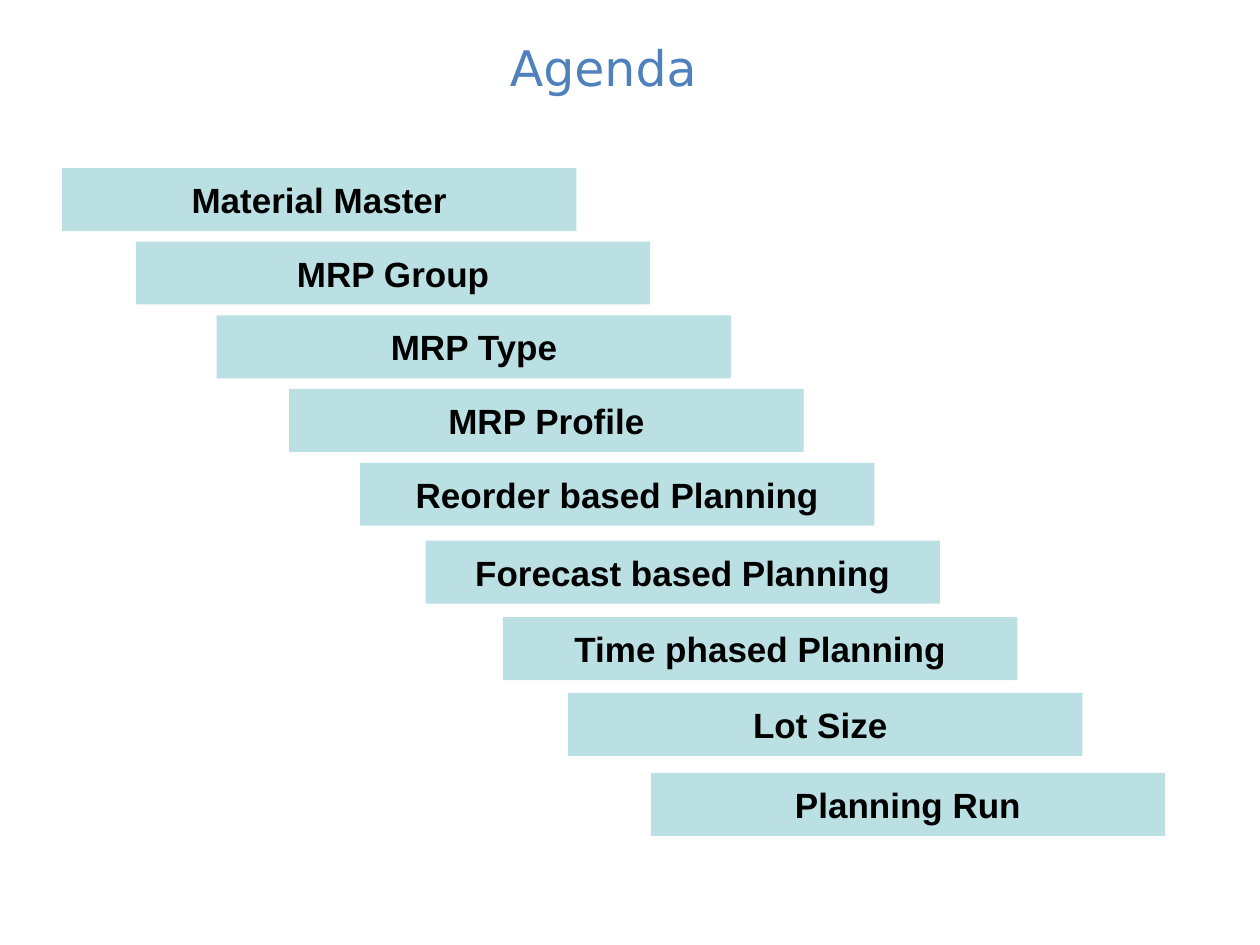
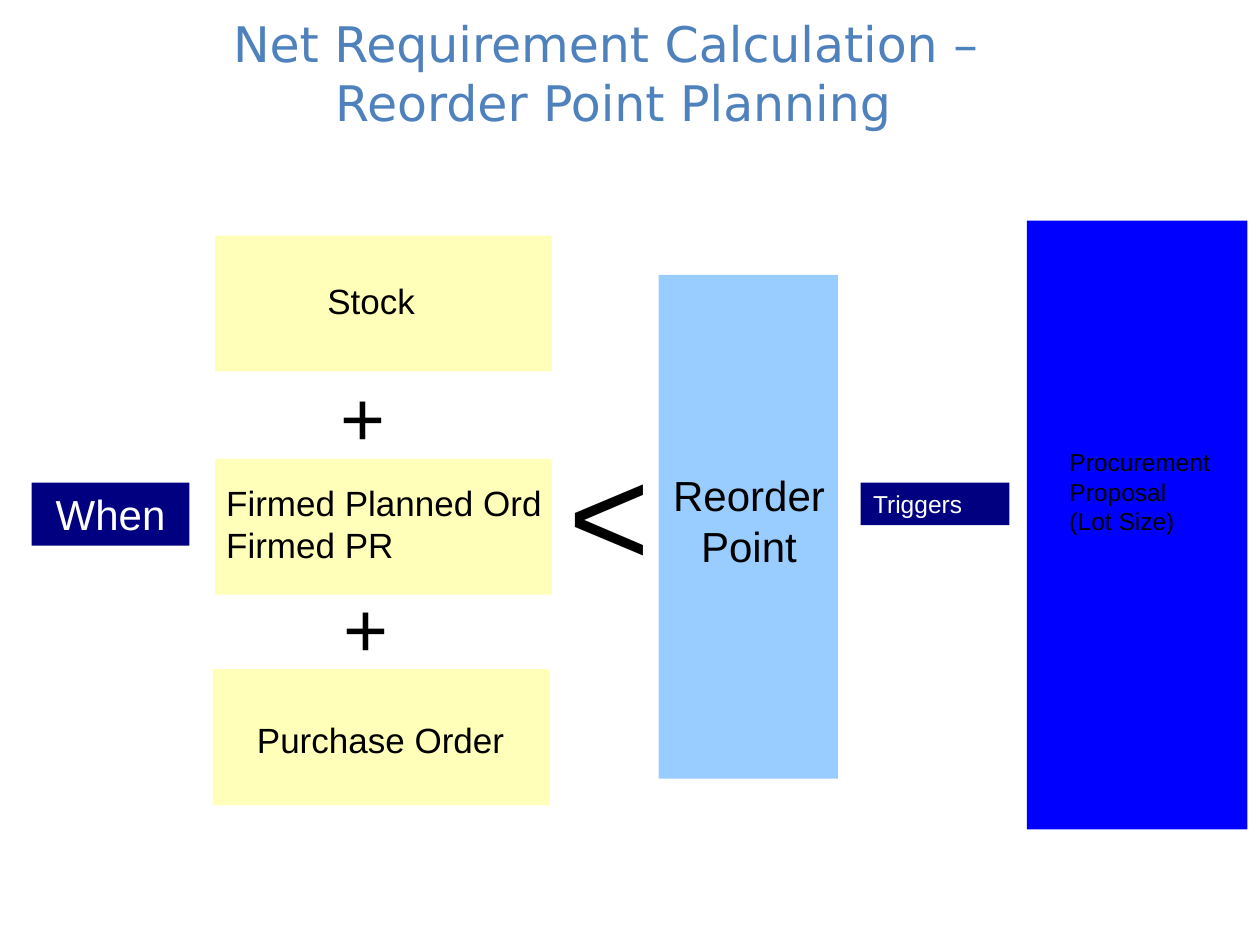
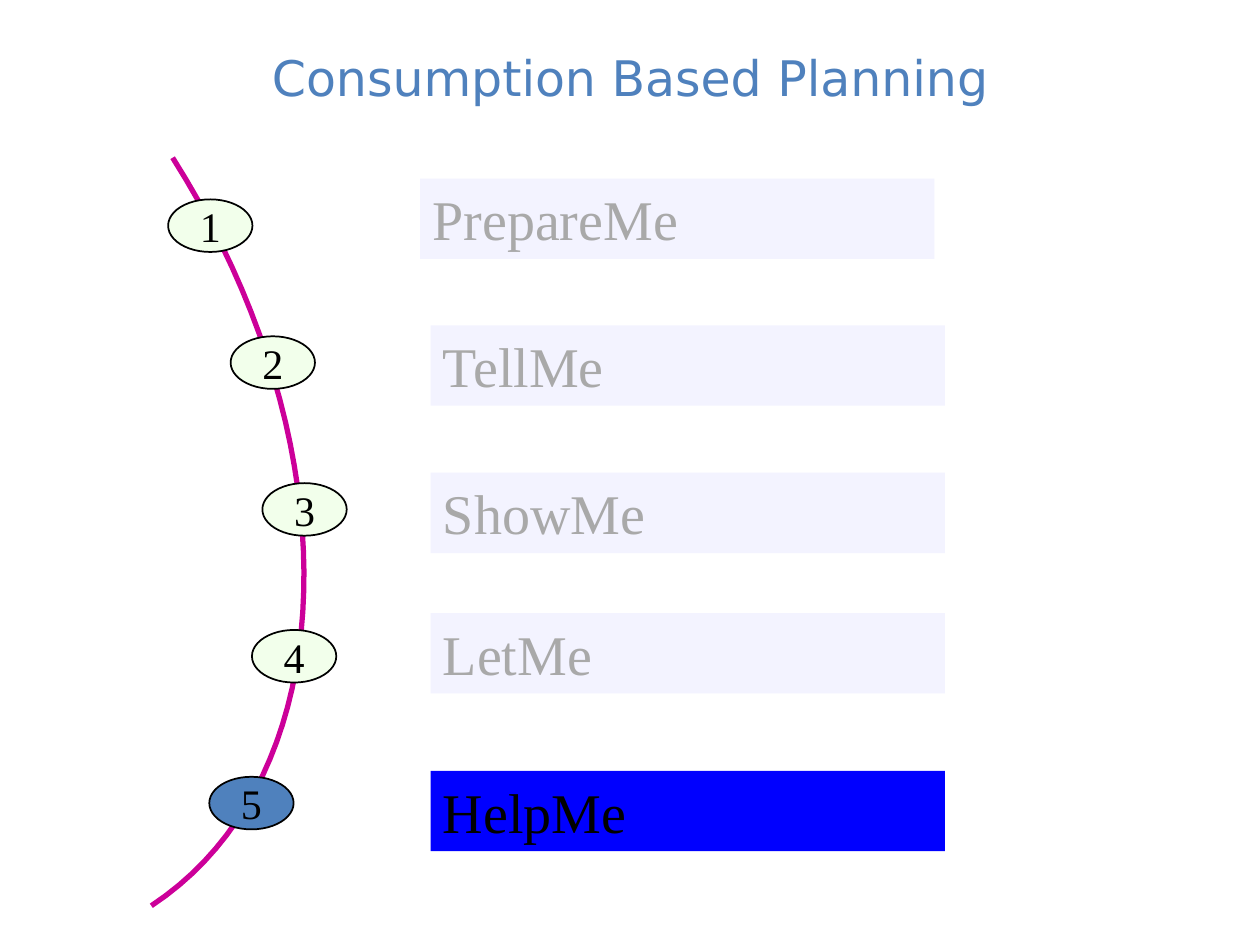
"""Build three slides on consumption based planning."""
import pptx
import pptx.util
import pptx.dml.color
import pptx.enum.shapes
import pptx.enum.text

Cm = pptx.util.Cm
Pt = pptx.util.Pt
RGBColor = pptx.dml.color.RGBColor
SHAPE = pptx.enum.shapes.MSO_SHAPE
ALIGN = pptx.enum.text.PP_ALIGN
ANCHOR = pptx.enum.text.MSO_ANCHOR

BLACK = RGBColor(0x00, 0x00, 0x00)
WHITE = RGBColor(0xFF, 0xFF, 0xFF)
TITLE_BLUE = RGBColor(0x4F, 0x81, 0xBD)
TEAL = RGBColor(0xBB, 0xE0, 0xE3)
YELLOW = RGBColor(0xFF, 0xFF, 0xB9)
SKY = RGBColor(0x99, 0xCC, 0xFF)
BLUE = RGBColor(0x00, 0x00, 0xFF)
NAVY = RGBColor(0x00, 0x00, 0x80)
MAGENTA = RGBColor(0xCC, 0x00, 0x99)
MINT = RGBColor(0xF2, 0xFF, 0xEB)
LAVENDER = RGBColor(0xF3, 0xF3, 0xFF)
GREY = RGBColor(0xA9, 0xA9, 0xA9)

TITLE = dict(size=28, font="DejaVu Sans", color=TITLE_BLUE, center=True, middle=True, wrap=True)


def add_text(s, text, x, y, w, h, size=20, font="Arial", color=BLACK, bold=False,
             center=False, middle=False, wrap=False, fill=None, line=None, shape=SHAPE.RECTANGLE):
    """Add a text box, or a filled shape when a fill is given."""
    at = Cm(x), Cm(y), Cm(w), Cm(h)
    if fill is None:
        sp = s.shapes.add_textbox(*at)
    else:
        sp = s.shapes.add_shape(shape, *at)
        sp.shadow.inherit = False
        sp.fill.solid()
        sp.fill.fore_color.rgb = fill
        if line is None:
            sp.line.fill.background()
        else:
            sp.line.color.rgb = line
            sp.line.width = Pt(1)
    tf = sp.text_frame
    tf.word_wrap = wrap
    tf.vertical_anchor = ANCHOR.MIDDLE if middle else ANCHOR.TOP
    tf.text = text
    for p in tf.paragraphs:
        p.alignment = ALIGN.CENTER if center else ALIGN.LEFT
        for r in p.runs:
            r.font.size = Pt(size)
            r.font.name = font
            r.font.bold = bold
            r.font.color.rgb = color


prs = pptx.Presentation()
prs.slide_width = Cm(25.4)
prs.slide_height = Cm(19.05)
blank = prs.slide_layouts[6]

s = prs.slides.add_slide(blank)
add_text(s, "Agenda", 0.03, 0.43, 24.26, 1.85, **TITLE)
agenda = [
    ("Material Master", 1.25, 3.39),
    ("MRP Group", 2.74, 4.87),
    ("MRP Type", 4.37, 6.36),
    ("MRP Profile", 5.83, 7.84),
    ("Reorder based Planning", 7.26, 9.33),
    ("Forecast based Planning", 8.58, 10.9),
    ("Time phased Planning", 10.14, 12.44),
    ("Lot Size ", 11.45, 13.97),
    ("Planning Run", 13.12, 15.58),
]
for text, x, y in agenda:
    add_text(s, text, x, y, 10.37, 1.27, bold=True, center=True, middle=True, fill=TEAL)

s = prs.slides.add_slide(blank)
add_text(s, "Net Requirement Calculation – \vReorder Point Planning", 0.23, 0.53, 24.26, 1.85, **TITLE)
panels = [
    (13.28, 5.54, 3.61, 10.16, SKY),
    (4.34, 9.25, 6.78, 2.74, YELLOW),
    (4.29, 13.49, 6.78, 2.74, YELLOW),
    (4.34, 4.75, 6.78, 2.74, YELLOW),
    (20.7, 4.45, 4.45, 12.27, BLUE),
]
for x, y, w, h, fill in panels:
    add_text(s, "", x, y, w, h, fill=fill)
labels = [
    ("Firmed Planned Ord\nFirmed PR", 4.31, 9.58, 7.1, 1.96, 20),
    ("Purchase Order", 4.93, 14.35, 5.7, 1.12, 20),
    ("Stock", 6.35, 5.51, 2.5, 1.12, 20),
    ("<", 11.22, 8.47, 2.16, 3.66, 80),
    ("+", 6.62, 7.32, 1.5, 2.13, 44),
    ("+", 6.68, 11.58, 1.5, 2.13, 44),
    ("Procurement\nProposal\n(Lot Size)", 21.31, 8.89, 3.6, 2.03, 14),
]
for text, x, y, w, h, size in labels:
    add_text(s, text, x, y, w, h, size=size)
add_text(s, "Reorder\nPoint", 13.2, 9.35, 3.8, 2.29, size=24, center=True)
add_text(s, "Triggers", 17.35, 9.73, 3, 0.86, size=14, color=WHITE, wrap=True, fill=NAVY)
add_text(s, "When", 0.64, 9.73, 3.18, 1.27, size=24, color=WHITE, center=True, wrap=True, fill=NAVY)

s = prs.slides.add_slide(blank)
add_text(s, "Consumption Based Planning", 1.27, 0.76, 22.86, 1.57, **TITLE)
controls = [(3.48, 3.18), (7.16, 8.99), (6.99, 15.67), (3.05, 18.26)]
curve = []
for i in range(41):
    t = i / 40
    weights = (1 - t) ** 3, 3 * t * (1 - t) ** 2, 3 * t ** 2 * (1 - t), t ** 3
    curve.append(tuple(Cm(sum(k * c[axis] for k, c in zip(weights, controls))) for axis in (0, 1)))
fb = s.shapes.build_freeform(*curve[0])
fb.add_line_segments(curve[1:], close=False)
arc = fb.convert_to_shape()
arc.shadow.inherit = False
arc.fill.background()
arc.line.color.rgb = MAGENTA
arc.line.width = Pt(3)

steps = [
    ("PrepareMe", 3.39, 4.02, 8.47, 3.6),
    ("TellMe", 4.65, 6.78, 8.68, 6.56),
    ("ShowMe", 5.29, 9.74, 8.68, 9.53),
    ("LetMe", 5.08, 12.7, 8.68, 12.36),
    ("HelpMe", 4.22, 15.66, 8.68, 15.54),
]
for number, (text, oval_x, oval_y, bar_x, bar_y) in enumerate(steps, 1):
    current = number == len(steps)
    add_text(s, str(number), oval_x, oval_y, 1.7, 1.06, size=24, font="Times New Roman",
             center=True, middle=True, fill=TITLE_BLUE if current else MINT,
             line=BLACK, shape=SHAPE.OVAL)
    add_text(s, text, bar_x, bar_y, 10.37, 1.62, size=32, font="Times New Roman", wrap=True,
             color=BLACK if current else GREY, fill=BLUE if current else LAVENDER)

prs.save("out.pptx")
